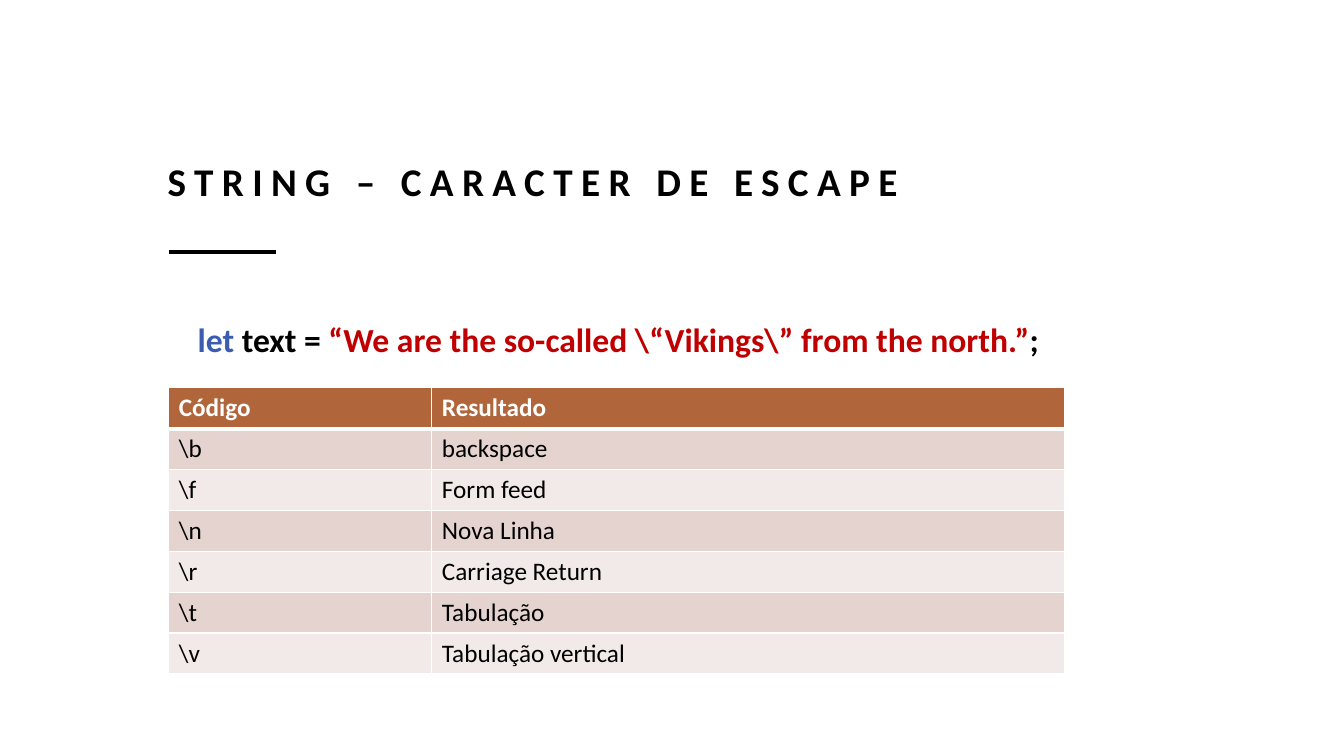
import pptx
import pptx.util
import pptx.dml.color
import pptx.enum.shapes
import pptx.enum.text
import pptx.oxml
import pptx.oxml.ns

Pt = pptx.util.Pt
COLORS = {
    "ink": "000000",
    "paper": "FFFFFF",
    "keyword": "3B5DB1",
    "string": "C00000",
    "header": "B1653B",
    "band_dark": "E4D3CE",
    "band_light": "F2EAE8",
}


def rgb(name):
    return pptx.dml.color.RGBColor.from_string(COLORS[name])


class SlideBuilder:
    font_name = "Calibri"

    def __init__(self, deck):
        self.slide = deck.slides.add_slide(deck.slide_layouts[5])

    def style(self, run, size, color, bold=False):
        run.font.name = self.font_name
        run.font.size = Pt(size)
        run.font.bold = bold
        run.font.color.rgb = rgb(color)

    def title(self, text, left, top, width, height):
        heading = self.slide.shapes.title
        heading.left, heading.top = Pt(left), Pt(top)
        heading.width, heading.height = Pt(width), Pt(height)
        frame = heading.text_frame
        frame.text = text
        frame.word_wrap = True
        frame.auto_size = pptx.enum.text.MSO_AUTO_SIZE.NONE
        frame.vertical_anchor = pptx.enum.text.MSO_ANCHOR.BOTTOM
        paragraph = frame.paragraphs[0]
        paragraph.alignment = pptx.enum.text.PP_ALIGN.LEFT
        paragraph.line_spacing = 1.2
        run = paragraph.runs[0]
        self.style(run, 28, "ink", bold=True)
        run._r.get_or_add_rPr().set("spc", "600")

    def rule(self, left, top, width):
        accent = self.slide.shapes.add_connector(
            pptx.enum.shapes.MSO_CONNECTOR.STRAIGHT,
            Pt(left), Pt(top), Pt(left + width), Pt(top))
        accent.line.color.rgb = rgb("ink")
        accent.line.width = Pt(2.5)
        accent._element.spPr.append(pptx.oxml.parse_xml(
            f"<a:effectLst {pptx.oxml.ns.nsdecls('a')}/>"))

    def code(self, tokens, left, top, width, height):
        box = self.slide.shapes.add_textbox(
            Pt(left), Pt(top), Pt(width), Pt(height))
        box.text_frame.word_wrap = True
        paragraph = box.text_frame.paragraphs[0]
        paragraph.line_spacing = 1.3
        properties = paragraph._p.get_or_add_pPr()
        properties.set("marL", str(Pt(21.6)))
        properties.set("indent", "0")
        for text, color in tokens:
            run = paragraph.add_run()
            run.text = text
            self.style(run, 24, color, bold=True)

    def border(self, cell, side, width):
        cell._tc.get_or_add_tcPr().append(pptx.oxml.parse_xml(
            f'<a:{side} {pptx.oxml.ns.nsdecls("a")} w="{Pt(width)}"><a:solidFill>'
            f'<a:srgbClr val="{COLORS["paper"]}"/></a:solidFill></a:{side}>'))

    def table(self, rows, left, top, column_widths, row_height):
        grid = self.slide.shapes.add_table(
            len(rows), len(column_widths), Pt(left), Pt(top),
            Pt(sum(column_widths)), Pt(row_height * len(rows))).table
        for column, width in zip(grid.columns, column_widths):
            column.width = Pt(width)
        for r, texts in enumerate(rows):
            grid.rows[r].height = Pt(row_height)
            is_header = r == 0
            band = "header" if is_header else ("band_light", "band_dark")[r % 2]
            widths = {"lnL": 1, "lnR": 1, "lnT": 3 if r == 1 else 1,
                      "lnB": 3 if is_header else 1}
            for c, text in enumerate(texts):
                cell = grid.cell(r, c)
                cell.text_frame.text = text
                self.style(cell.text_frame.paragraphs[0].runs[0], 18,
                           "paper" if is_header else "ink", bold=is_header)
                for side, width in widths.items():
                    self.border(cell, side, width)
                cell.fill.solid()
                cell.fill.fore_color.rgb = rgb(band)


def main():
    deck = pptx.Presentation()
    deck.slide_width, deck.slide_height = Pt(960), Pt(540)
    builder = SlideBuilder(deck)
    builder.title("STRING – CARACTER DE ESCAPE", 112.5, 82, 727, 67.5)
    builder.rule(120.5, 180, 76.5)
    builder.code([
        ("let ", "keyword"),
        ("text = ", "ink"),
        (r"“We are the so-called \“Vikings\” from the north.”", "string"),
        (";", "ink"),
    ], 112.5, 215.3, 667.5, 264)
    escapes = [
        ("Código", "Resultado"),
        (r"\b", "backspace"),
        (r"\f", "Form feed"),
        (r"\n", "Nova Linha"),
        (r"\r", "Carriage Return"),
        (r"\t", "Tabulação"),
        (r"\v", "Tabulação vertical"),
    ]
    builder.table(escapes, 120.5, 277, (188, 452), 29.2)
    deck.save("out.pptx")


if __name__ == "__main__":
    main()
